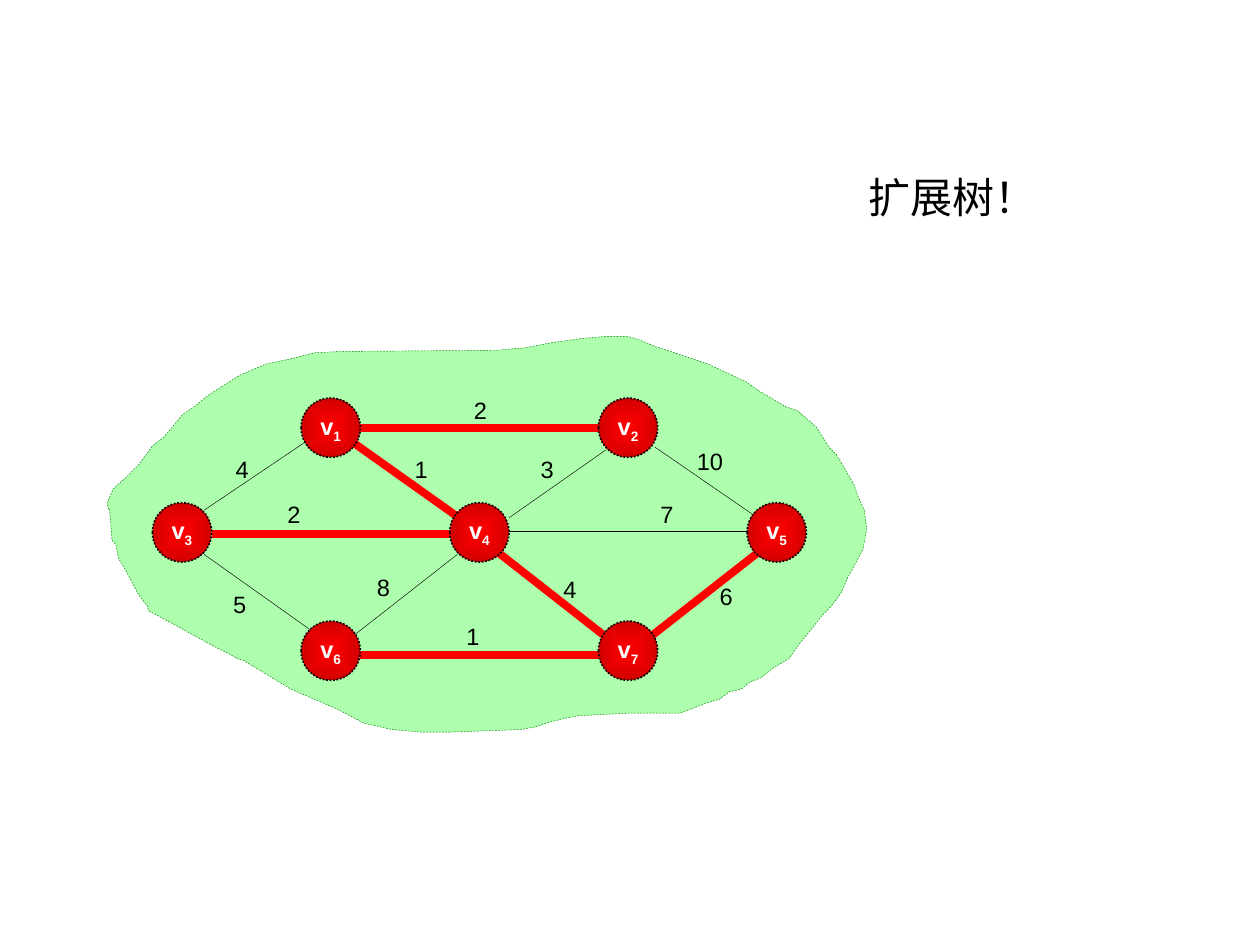
from lxml import etree
from pptx import Presentation, util as u
from pptx.dml.color import RGBColor
from pptx.enum import dml, shapes, text
from pptx.oxml.ns import qn

BLACK = RGBColor(0, 0, 0)
WHITE = RGBColor(255, 255, 255)
RED = RGBColor(255, 0, 0)
DARK = RGBColor(0xD2, 0, 0)
MINT = RGBColor(0xAD, 0xFF, 0xAD)
GREEN = RGBColor(0, 0x80, 0)
INCH = 2.54


def size(*nums):
    return [u.Cm(n * INCH) for n in nums]


class Graph:
    font = "Arial"
    body = 13.5
    node_size = 0.47

    def __init__(self, slide):
        self.slide = slide

    def add_run(self, para, words, points, color, bold=False):
        run = para.add_run()
        run.text = words
        font = run.font
        font.name, font.size, font.bold = self.font, u.Pt(points), bold
        font.color.rgb = color
        return run

    def set_frame(self, shape):
        frame = shape.text_frame
        frame.word_wrap = False
        frame.margin_left = frame.margin_right = u.Cm(0.18)
        frame.margin_top = frame.margin_bottom = u.Cm(0.1)
        return frame

    def region(self, points):
        pen = self.slide.shapes.build_freeform(
            *points[0], scale=u.Cm(INCH / 100))
        pen.add_line_segments(points[1:], close=True)
        shape = pen.convert_to_shape()
        shape.shadow.inherit = False
        shape.fill.solid()
        shape.fill.fore_color.rgb = MINT
        shape.line.color.rgb = GREEN
        shape.line.width = u.Pt(0.25)
        shape.line.dash_style = dml.MSO_LINE.DASH

    def edge(self, ends, color, width):
        line = self.slide.shapes.add_connector(
            shapes.MSO_CONNECTOR.STRAIGHT, *size(*ends))
        line.line.color.rgb = color
        line.line.width = u.Pt(width)
        etree.SubElement(line._element.spPr, qn("a:effectLst"))

    def node(self, name, left, top):
        shape = self.slide.shapes.add_shape(
            shapes.MSO_SHAPE.OVAL,
            *size(left, top, self.node_size, self.node_size))
        shape.shadow.inherit = False
        shape.fill.gradient()
        for stop, color in zip(shape.fill.gradient_stops, (RED, DARK)):
            stop.color.rgb = color
        grad = shape._element.spPr.find(qn("a:gradFill"))
        grad.remove(grad.find(qn("a:lin")))
        way = etree.SubElement(grad, qn("a:path"), {"path": "shape"})
        etree.SubElement(way, qn("a:fillToRect"), dict.fromkeys("ltrb", "50000"))
        shape.line.color.rgb = BLACK
        shape.line.width = u.Pt(1)
        shape.line.dash_style = dml.MSO_LINE.ROUND_DOT
        frame = self.set_frame(shape)
        frame.vertical_anchor = text.MSO_ANCHOR.MIDDLE
        para = frame.paragraphs[0]
        para.alignment = text.PP_ALIGN.CENTER
        self.add_run(para, "v", self.body, WHITE, True)
        sub = self.add_run(para, name, self.body, WHITE, True)
        sub.font._element.set("baseline", "-25000")

    def label(self, words, box, points=body, align=text.PP_ALIGN.LEFT):
        shape = self.slide.shapes.add_textbox(*size(*box))
        frame = self.set_frame(shape)
        frame.auto_size = text.MSO_AUTO_SIZE.SHAPE_TO_FIT_TEXT
        para = frame.paragraphs[0]
        para.alignment = align
        self.add_run(para, words, points, BLACK)


OUTLINE = [
    (87, 404), (89, 429), (92, 432), (94, 443), (100, 453), (110, 472),
    (117, 481), (118, 485), (124, 488), (137, 495), (157, 506), (168, 512),
    (180, 518), (189, 523), (193, 524), (231, 547), (268, 563), (289, 574),
    (311, 579), (334, 581), (358, 581), (413, 579), (425, 577), (437, 573),
    (449, 570), (460, 568), (500, 566), (540, 566), (561, 558), (571, 555),
    (579, 549), (588, 547), (596, 541), (604, 538), (614, 530), (626, 523),
    (636, 509), (646, 497), (652, 489), (660, 481), (668, 470), (673, 458),
    (677, 451), (685, 436), (688, 420), (686, 405), (681, 394), (678, 385),
    (674, 378), (664, 361), (658, 355), (648, 339), (633, 326), (624, 323),
    (602, 310), (592, 303), (562, 289), (538, 281), (520, 275), (508, 270),
    (498, 267), (481, 267), (459, 269), (438, 272), (417, 276), (395, 278),
    (271, 279), (250, 280), (230, 285), (211, 289), (190, 298), (165, 314),
    (154, 323), (145, 329), (140, 335), (130, 347), (121, 354), (110, 369),
    (101, 378), (90, 388), (85, 399), (86, 404),
]
THIN = [
    (2.45, 3.49, 1.62, 4.05), (4.81, 3.57, 4.04, 4.11),
    (5.2, 3.55, 5.97, 4.08), (5.93, 4.22, 4.04, 4.22),
    (3.63, 4.4, 2.8, 5.05), (1.62, 4.4, 2.45, 4.99),
]
TREE = [
    (2.8, 3.51, 3.63, 4.1), (2.86, 3.4, 4.76, 3.4),
    (3.57, 4.24, 1.68, 4.24), (3.96, 4.39, 4.79, 5.04),
    (4.75, 5.2, 2.86, 5.2), (6.01, 4.39, 5.18, 5.04),
]
COSTS = [
    ("4", 1.8, 3.57), ("2", 3.69, 3.1), ("1", 3.22, 3.57), ("2", 2.21, 3.93),
    ("5", 1.78, 4.64), ("1", 3.63, 4.9), ("8", 2.92, 4.51), ("4", 4.4, 4.52),
    ("7", 5.17, 3.93), ("3", 4.22, 3.57), ("10", 5.46, 3.51), ("6", 5.64, 4.58),
]
ROWS = [(3.16, {"1": 1, "2": 3}), (3.99, {"3": 0, "4": 2, "5": 4}),
        (4.93, {"6": 1, "7": 3})]


def main():
    deck = Presentation()
    deck.slide_width, deck.slide_height = size(10, 7.5)
    graph = Graph(deck.slides.add_slide(deck.slide_layouts[6]))
    graph.region(OUTLINE)
    for ends in THIN:
        graph.edge(ends, BLACK, 0.25)
    graph.edge((4.75, 5.17, 2.86, 5.17), BLACK, 0.75)
    for cost, left, top in COSTS:
        graph.label(cost, (left, top, 0.14 + 0.11 * len(cost), 0.3))
    for ends in TREE:
        graph.edge(ends, RED, 4.5)
    for top, row in ROWS:
        for name, col in row.items():
            graph.node(name, 1.21 + 1.18 * col, top)
    graph.label("扩展树！", (6.82, 1.32, 1.5, 0.48), 24, text.PP_ALIGN.JUSTIFY)
    deck.save("out.pptx")


if __name__ == "__main__":
    main()
